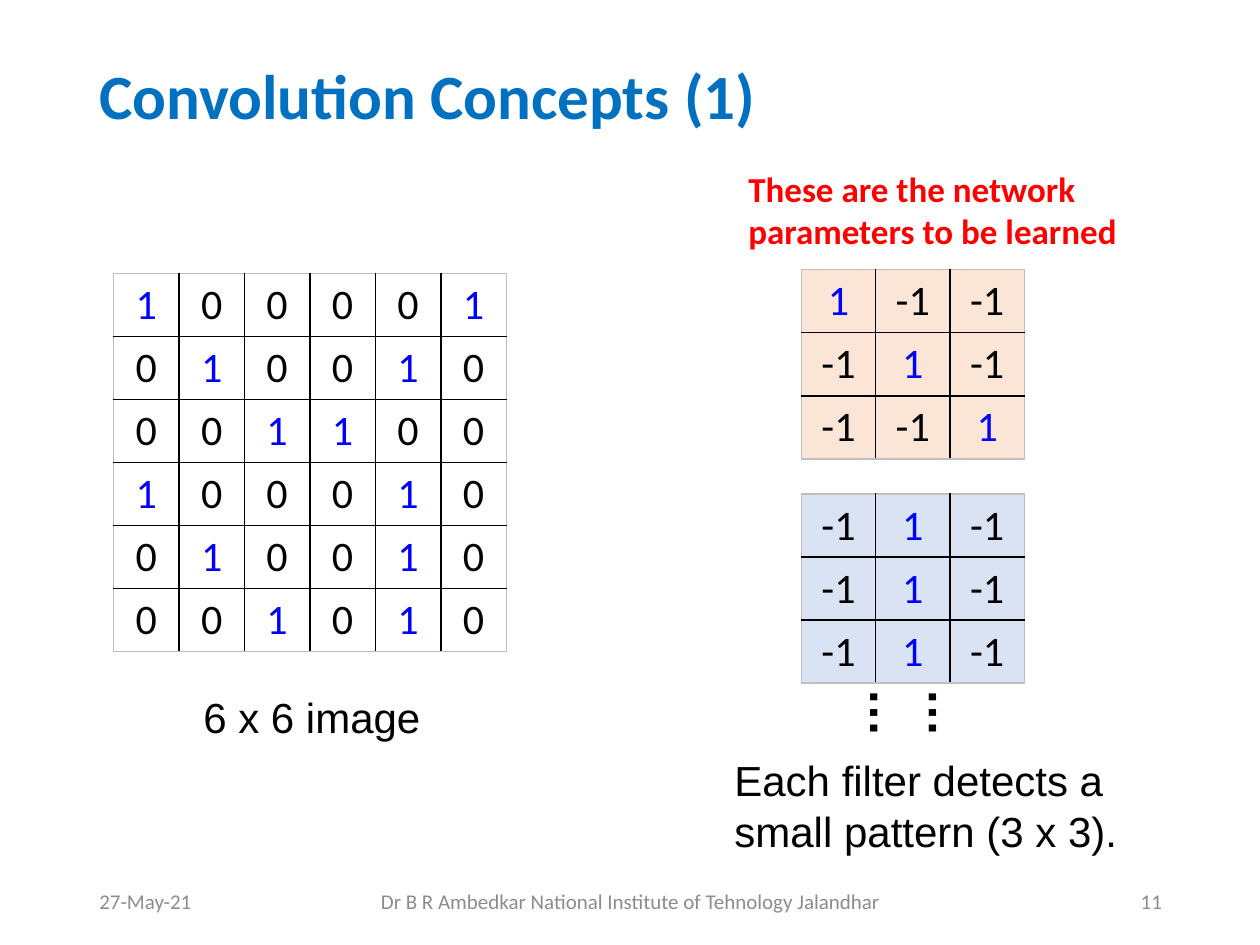
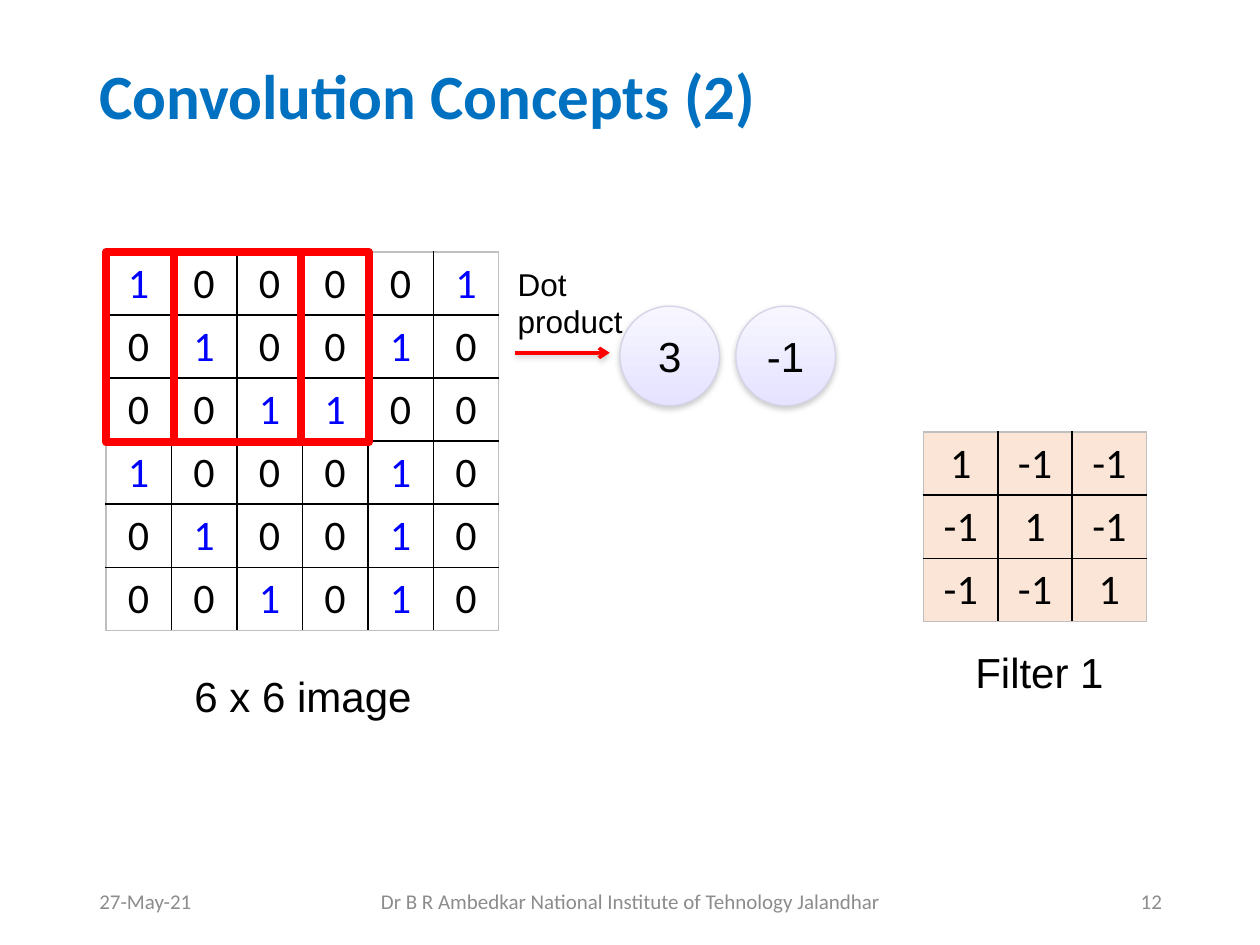
import pptx
import pptx.dml.color
import pptx.enum.shapes
import pptx.enum.text
import pptx.oxml
import pptx.oxml.ns
import pptx.util
from pptx.util import Inches

COLORS = {
    "title": "0070C0", "footer": "8C8C8C", "text": "000000", "one": "0000FF",
    "accent": "FF0000", "peach": "FBE5D6", "sky": "DAE3F3", "frame": "BFBFBF",
    "ball_top": "F7F6FF", "ball_bottom": "E5E3FF", "ball_line": "D4D3E7",
    "shadow": "808080",
}
ALIGN = pptx.enum.text.PP_ALIGN
ANCHOR = pptx.enum.text.MSO_ANCHOR
SHAPES = pptx.enum.shapes.MSO_SHAPE

IMAGE_ROWS = ["1 0 0 0 0 1", "0 1 0 0 1 0", "0 0 1 1 0 0",
              "1 0 0 0 1 0", "0 1 0 0 1 0", "0 0 1 0 1 0"]
DIAGONAL_FILTER = ["1 -1 -1", "-1 1 -1", "-1 -1 1"]
VERTICAL_FILTER = ["-1 1 -1"] * 3


def rgb(name):
    return pptx.dml.color.RGBColor.from_string(COLORS[name])


def add_xml(parent, xml):
    namespace = pptx.oxml.ns.nsdecls("a")
    element = pptx.oxml.parse_xml(xml.replace("NS", namespace, 1))
    parent.append(element)
    return element


class Deck:
    def __init__(self):
        self.presentation = pptx.Presentation()
        self.presentation.slide_width = Inches(10)
        self.presentation.slide_height = Inches(7.5)
        self.slide = None

    def start_slide(self, title, number):
        layout = self.presentation.slide_layouts[6]
        self.slide = self.presentation.slides.add_slide(layout)
        heading = self.text(title, 0.69, 0.4, 8.62, 0.78, size=36, font="Calibri",
                            color="title", bold=True, anchor=ANCHOR.MIDDLE)
        heading.text_frame.paragraphs[0].line_spacing = 0.9
        footers = [
            ("27-May-21", 0.69, 0.97, ALIGN.LEFT),
            ("Dr B R Ambedkar National Institute of Tehnology Jalandhar", 2.79, 4.43, ALIGN.CENTER),
            (str(number), 8.5, 0.82, ALIGN.RIGHT),
        ]
        for words, left, width, align in footers:
            self.text(words, left, 6.95, width, 0.4, size=12, font="Calibri",
                      color="footer", align=align, anchor=ANCHOR.MIDDLE)

    def style(self, paragraph, size, font="Arial", color="text", bold=False, align=ALIGN.LEFT):
        paragraph.alignment = align
        paragraph.font.size = pptx.util.Pt(size)
        paragraph.font.name = font
        paragraph.font.bold = bold
        paragraph.font.color.rgb = rgb(color)

    def text(self, words, left, top, width, height, size=24, anchor=ANCHOR.TOP,
             grow=False, wrap=True, **style):
        box = self.slide.shapes.add_textbox(Inches(left), Inches(top), Inches(width), Inches(height))
        frame = box.text_frame
        frame.text = words
        frame.word_wrap = wrap
        frame.vertical_anchor = anchor
        if grow:
            frame.auto_size = pptx.enum.text.MSO_AUTO_SIZE.SHAPE_TO_FIT_TEXT
        for paragraph in frame.paragraphs:
            self.style(paragraph, size, **style)
        return box

    def border(self, cell, side, color):
        add_xml(cell._tc.get_or_add_tcPr(),
                f'<a:{side} NS w="12700"><a:solidFill><a:srgbClr val="{COLORS[color]}"/>'
                f'</a:solidFill></a:{side}>')

    def matrix(self, rows, left, top, column_width, fill=None, one_color="one"):
        values = [row.split() for row in rows]
        last_row, last_column = len(values) - 1, len(values[0]) - 1
        table = self.slide.shapes.add_table(
            last_row + 1, last_column + 1, Inches(left), Inches(top),
            Inches(column_width * (last_column + 1)), Inches(0.5 * (last_row + 1))).table
        table.first_row = False
        table.horz_banding = False
        for i, row in enumerate(values):
            for j, value in enumerate(row):
                cell = table.cell(i, j)
                cell.text = value
                self.style(cell.text_frame.paragraphs[0], 24, "Calibri",
                           one_color if value == "1" else "text", align=ALIGN.CENTER)
                edges = {"lnL": j == 0, "lnR": j == last_column,
                         "lnT": i == 0, "lnB": i == last_row}
                for side, outer in edges.items():
                    self.border(cell, side, "frame" if outer else "text")
                if fill:
                    cell.fill.solid()
                    cell.fill.fore_color.rgb = rgb(fill)
                else:
                    cell.fill.background()

    def add_shadow(self, effects):
        add_xml(effects,
                '<a:outerShdw NS blurRad="39370" dist="20320" dir="5400000" rotWithShape="0">'
                f'<a:srgbClr val="{COLORS["shadow"]}"><a:alpha val="38000"/></a:srgbClr>'
                '</a:outerShdw>')

    def shape(self, kind, left, top, width, height, line, line_width):
        shape = self.slide.shapes.add_shape(
            kind, Inches(left), Inches(top), Inches(width), Inches(height))
        shape.shadow.inherit = False
        shape.line.color.rgb = rgb(line)
        shape.line.width = pptx.util.Pt(line_width)
        return shape

    def window(self, left, top):
        self.shape(SHAPES.RECTANGLE, left, top, 1.55, 1.51, "accent", 4.5).fill.background()

    def ball(self, value, left, top):
        ball = self.shape(SHAPES.OVAL, left, top, 0.79, 0.79, "ball_line", 0.75)
        ball.fill.gradient()
        ball.fill.gradient_angle = 270
        for stop, color in zip(ball.fill.gradient_stops, ("ball_top", "ball_bottom")):
            stop.color.rgb = rgb(color)
        self.add_shadow(ball._element.spPr.find(pptx.oxml.ns.qn("a:effectLst")))
        frame = ball.text_frame
        frame.text = value
        frame.vertical_anchor = ANCHOR.MIDDLE
        self.style(frame.paragraphs[0], 24, align=ALIGN.CENTER)

    def arrow(self, left, right, y):
        arrow = self.slide.shapes.add_connector(
            pptx.enum.shapes.MSO_CONNECTOR.STRAIGHT,
            Inches(left), Inches(y), Inches(right), Inches(y))
        arrow.line.color.rgb = rgb("accent")
        arrow.line.width = pptx.util.Pt(2)
        add_xml(arrow.line._get_or_add_ln(), '<a:tailEnd NS type="arrow"/>')
        self.add_shadow(add_xml(arrow._element.spPr, '<a:effectLst NS/>'))


def build_filters_slide(deck):
    deck.start_slide("Convolution Concepts (1)", 11)
    deck.text("These are the network parameters to be learned", 5.84, 1.28, 3.38, 0.77,
              size=20, font="Calibri", color="accent", bold=True, grow=True)
    deck.matrix(IMAGE_ROWS, 0.9, 2.17, 0.52)
    deck.text("6 x 6 image", 1.19, 5.44, 2.57, 0.5, align=ALIGN.CENTER, grow=True)
    deck.matrix(DIAGONAL_FILTER, 6.36, 2.14, 0.59, "peach")
    deck.matrix(VERTICAL_FILTER, 6.36, 3.92, 0.59, "sky")
    dots = deck.text("……", 7.14, 5.47, 0.77, 0.57, size=28, bold=True, grow=True)
    dots.rotation = 90
    deck.text("Each filter detects a small pattern (3 x 3).", 5.73, 5.94, 3.89, 0.91, grow=True)


def build_dot_product_slide(deck):
    deck.start_slide("Convolution Concepts (2)", 12)
    deck.matrix(IMAGE_ROWS, 0.84, 2, 0.52)
    deck.text("6 x 6 image", 1.12, 5.27, 2.57, 0.5, align=ALIGN.CENTER, grow=True)
    for value, window_left, ball_left in (("3", 0.84, 4.92), ("-1", 1.38, 5.84)):
        deck.window(window_left, 2)
        deck.ball(value, ball_left, 2.43)
    deck.arrow(4.09, 4.84, 2.8)
    deck.text("Dot\nproduct", 4.01, 2.05, 1.04, 0.71, size=18, grow=True, wrap=False)
    deck.matrix(DIAGONAL_FILTER, 7.33, 3.43, 0.59, "peach", one_color="text")
    deck.text("Filter 1", 7.46, 5.08, 1.58, 0.51, align=ALIGN.CENTER, grow=True)


def main():
    deck = Deck()
    build_filters_slide(deck)
    build_dot_product_slide(deck)
    deck.presentation.save("out.pptx")


if __name__ == "__main__":
    main()
